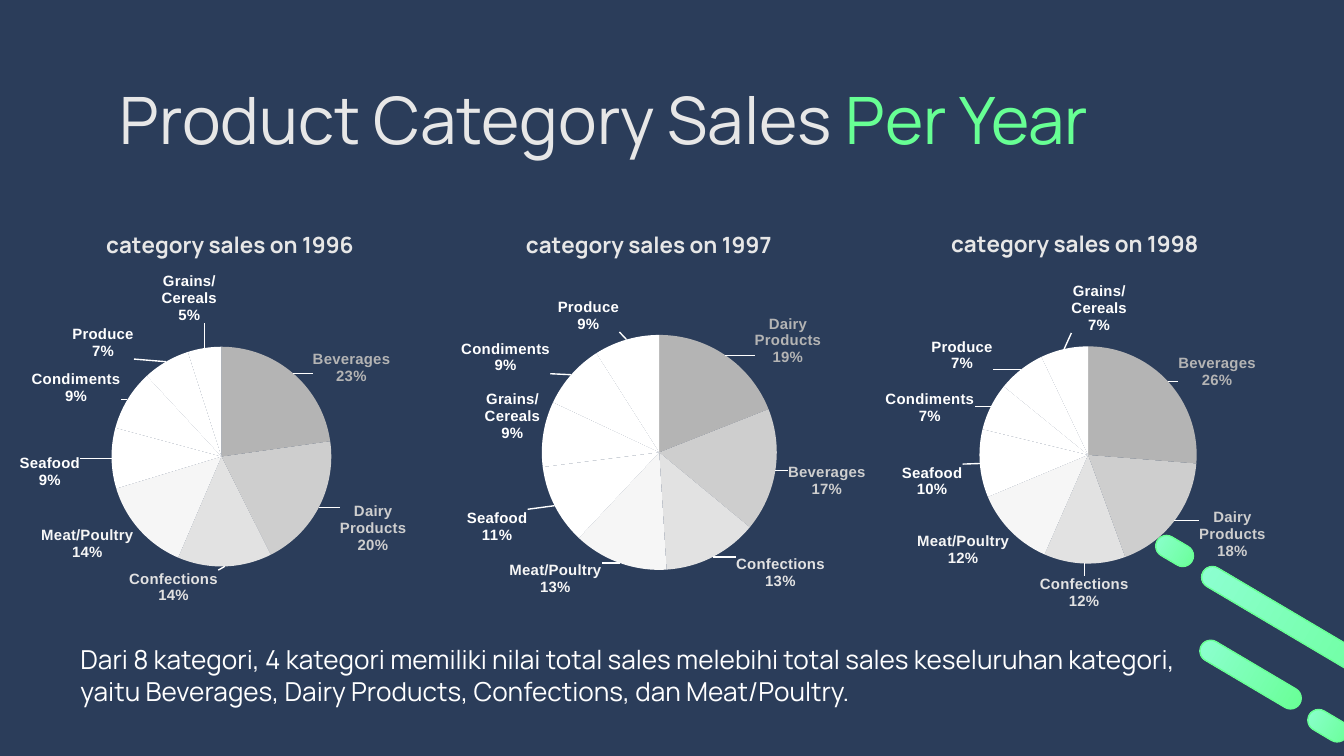
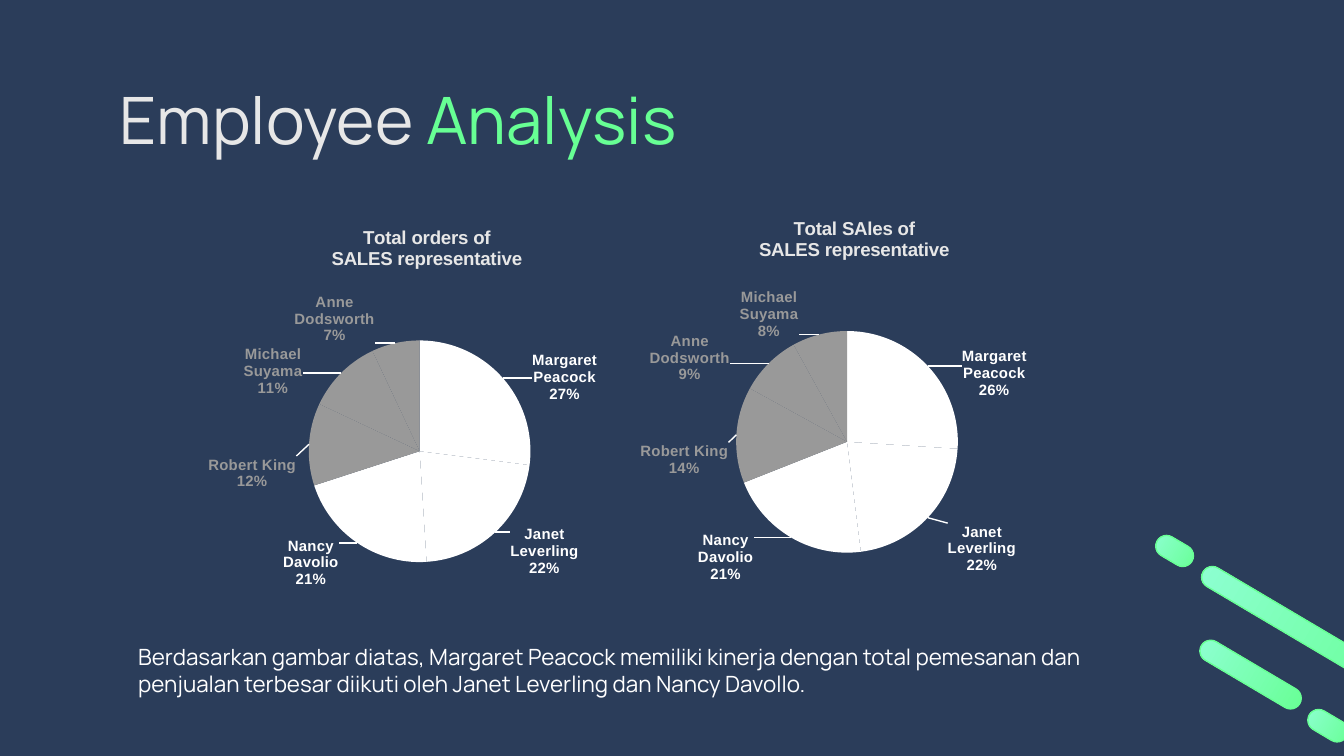
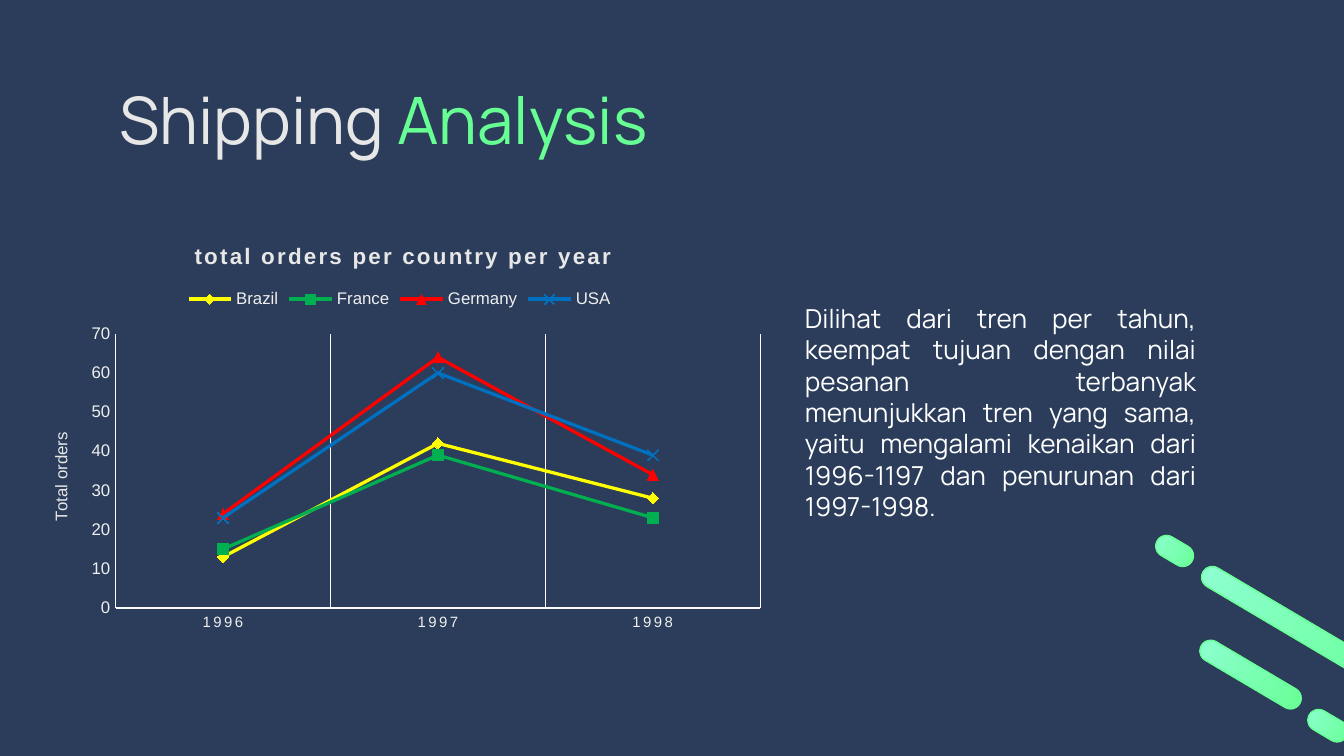
from dataclasses import dataclass

from lxml import etree
from pptx import Presentation
from pptx import util as u
from pptx.chart.data import CategoryChartData
from pptx.dml.color import RGBColor
from pptx.enum import chart as charts, shapes, text
from pptx.oxml.ns import qn


@dataclass(frozen=True)
class Theme:
    background: str = "2B3D5A"
    heading: str = "E7E7E7"
    accent: str = "67FF94"
    accent_light: str = "8EFFD2"
    white: str = "FFFFFF"
    axis_text: str = "EFEFEF"
    axis_line: str = "FBFBFB"
    display_font: str = "Manrope"
    chart_font: str = "Arial"
    title_size: float = 35
    body_size: float = 14
    small_body_size: float = 12
    chart_title_size: float = 12
    small_chart_title_size: float = 10
    chart_size: float = 10
    axis_size: float = 9
    label_size: float = 8
    letter_spacing: str = "120"


THEME = Theme()
BARS = [
    (8.83, 4.62, 1.75),
    (8.59, 4.02, 0.3),
    (9.72, 5.32, 0.32),
    (8.88, 4.94, 0.85),
]
CATEGORY_SHADES = ["B4B4B4", "CECECE", "E2E2E2", "F6F6F6"] + [THEME.white] * 4
EMPLOYEE_SHADES = [THEME.white] * 3 + ["999999"] * 3


def inches(*values):
    return [u.Inches(value) for value in values]


def apply(target, values):
    for name, value in values.items():
        setattr(target, name, value)


def style_font(font, size, color, name, bold=False):
    apply(font, {"size": u.Pt(size), "name": name, "bold": bold})
    font.color.rgb = RGBColor.from_string(color)


def style_line(line, color, width):
    line.color.rgb = RGBColor.from_string(color)
    line.width = u.Pt(width)


def add_xml(parent, tag, **attributes):
    return etree.SubElement(parent, qn(tag), **attributes)


def set_layout(parent, index, values):
    for previous in parent.findall(qn("c:layout")):
        parent.remove(previous)
    layout = etree.Element(qn("c:layout"))
    manual = add_xml(layout, "c:manualLayout")
    for name, value in values.items():
        add_xml(manual, f"c:{name}", val=str(value))
    parent.insert(index, layout)


def edge_layout(x, y):
    return {"xMode": "edge", "yMode": "edge", "x": x, "y": y}


class Deck:
    def __init__(self, theme):
        self.theme = theme
        self.presentation = Presentation()
        apply(self.presentation, {
            "slide_width": u.Inches(10), "slide_height": u.Inches(10 * 9 / 16)})
        fill = self.presentation.slide_master.background.fill
        fill.solid()
        fill.fore_color.rgb = RGBColor.from_string(theme.background)
        self.slide = None

    def add_slide(self, heading, highlight):
        self.slide = self.presentation.slides.add_slide(self.presentation.slide_layouts[5])
        title = self.slide.shapes.title
        left, top, width, height = inches(0.79, 0.49, 8.43, 0.63)
        apply(title, {"left": left, "top": top, "width": width, "height": height})
        margin = u.Inches(0.1)
        apply(title.text_frame, {
            "margin_left": margin, "margin_right": margin,
            "margin_top": margin, "margin_bottom": margin,
            "vertical_anchor": text.MSO_ANCHOR.TOP,
            "auto_size": text.MSO_AUTO_SIZE.NONE, "word_wrap": True,
        })
        paragraph = title.text_frame.paragraphs[0]
        paragraph.alignment = text.PP_ALIGN.LEFT
        for words, color in ((heading + " ", self.theme.heading), (highlight, self.theme.accent)):
            run = paragraph.add_run()
            run.text = words
            style_font(run.font, self.theme.title_size, color, self.theme.display_font)
        for left, top, width in BARS:
            self.add_bar(left, top, width)

    def add_bar(self, left, top, width):
        bar = self.slide.shapes.add_shape(
            shapes.MSO_SHAPE.ROUNDED_RECTANGLE, *inches(left, top, width, 0.16))
        bar.adjustments[0] = 0.5
        bar.rotation = 30.6
        bar.shadow.inherit = False
        bar.fill.gradient()
        bar.fill.gradient_angle = 180
        stops = zip(bar.fill.gradient_stops, (self.theme.accent, self.theme.accent_light), (0, 1))
        for stop, color, position in stops:
            stop.color.rgb = RGBColor.from_string(color)
            stop.position = position
        style_line(bar.line, self.theme.accent, 0.75)

    def add_body(self, words, box, size, alignment=text.PP_ALIGN.LEFT):
        frame = self.slide.shapes.add_textbox(*inches(*box)).text_frame
        apply(frame, {"word_wrap": True, "auto_size": text.MSO_AUTO_SIZE.SHAPE_TO_FIT_TEXT})
        paragraph = frame.paragraphs[0]
        paragraph.alignment = alignment
        run = paragraph.add_run()
        run.text = words
        style_font(run.font, size, self.theme.white, self.theme.display_font)

    def add_chart(self, kind, box, categories, series, plot_area):
        data = CategoryChartData()
        data.categories = categories
        for name, values in series.items():
            data.add_series(name, values)
        chart = self.slide.shapes.add_chart(kind, *inches(*box), data).chart
        style_font(chart.font, self.theme.chart_size, self.theme.heading, self.theme.chart_font)
        chart.has_legend = False
        x, y, width, height = plot_area
        area = chart._chartSpace.find(f".//{qn('c:plotArea')}")
        set_layout(area, 0, {"layoutTarget": "inner", **edge_layout(x, y), "w": width, "h": height})
        return chart

    def add_chart_title(self, chart, lines, corner, size, font_name, spacing="0"):
        chart.has_title = True
        frame = chart.chart_title.text_frame
        for index, line in enumerate(lines):
            paragraph = frame.add_paragraph() if index else frame.paragraphs[0]
            run = paragraph.add_run()
            run.text = line
            style_font(run.font, size, self.theme.heading, font_name, True)
            run.font._element.set("spc", spacing)
        set_layout(chart.chart_title._element, 1, edge_layout(*corner))

    def add_pie(self, box, shares, shades, plot_corner):
        categories, values, offsets = zip(*shares)
        chart = self.add_chart(charts.XL_CHART_TYPE.PIE, box, categories,
                               {"Series 1": values}, (*plot_corner, 0.47, 0.57))
        chart.plots[0].vary_by_categories = True
        series = chart.plots[0].series[0]
        style_line(series.format.line, self.theme.white, 0.75)
        labels = series.data_labels
        apply(labels, {
            "show_category_name": True, "show_percentage": True, "show_value": False,
            "number_format": "0%", "number_format_is_linked": False,
            "position": charts.XL_LABEL_POSITION.OUTSIDE_END,
        })
        label_style = (self.theme.chart_font, True)
        style_font(labels.font, self.theme.label_size, self.theme.white, *label_style)
        for index, (shade, offset) in enumerate(zip(shades, offsets)):
            point = series.points[index]
            point.format.fill.solid()
            point.format.fill.fore_color.rgb = RGBColor.from_string(shade)
            point.format.line.fill.background()
            style_font(point.data_label.font, self.theme.label_size, shade, *label_style)
            point.data_label.position = charts.XL_LABEL_POSITION.OUTSIDE_END
            self.place_label(series, index, offset)
        self.add_leader_lines(series)
        return chart

    def place_label(self, series, index, offset):
        label = series._element.xpath(f"c:dLbls/c:dLbl[c:idx/@val='{index}']")[0]
        for name, shown in (("showVal", "0"), ("showCatName", "1"), ("showPercent", "1")):
            label.find(qn(f"c:{name}")).set("val", shown)
        set_layout(label, 1, dict(zip("xy", offset)))
        label.insert(2, etree.Element(qn("c:numFmt"), formatCode="0%", sourceLinked="0"))
        add_xml(label, "c:separator").text = "\n"

    def add_leader_lines(self, series):
        labels = series._element.find(qn("c:dLbls"))
        for previous in labels.findall(qn("c:showLeaderLines")):
            labels.remove(previous)
        add_xml(labels, "c:showLeaderLines", val="1")
        properties = add_xml(add_xml(labels, "c:leaderLines"), "c:spPr")
        line = add_xml(properties, "a:ln", w=str(u.Pt(0.75)))
        add_xml(add_xml(line, "a:solidFill"), "a:srgbClr", val=self.theme.white)

    def add_line_chart(self, box, categories, lines, value_title):
        theme = self.theme
        chart = self.add_chart(charts.XL_CHART_TYPE.LINE_MARKERS, box, categories,
                               {name: values for name, values, _, _ in lines},
                               (0.12, 0.27, 0.86, 0.66))
        for series, (_, _, color, marker) in zip(chart.plots[0].series, lines):
            series.smooth = False
            style_line(series.format.line, color, 1.75)
            apply(series.marker, {"style": marker, "size": 6})
            style_line(series.marker.format.line, color, 0.75)
            if marker == charts.XL_MARKER_STYLE.X:
                series.marker.format.fill.background()
            else:
                series.marker.format.fill.solid()
                series.marker.format.fill.fore_color.rgb = RGBColor.from_string(color)
        axes = ((chart.category_axis, theme.label_size, True),
                (chart.value_axis, theme.axis_size, False))
        for axis, size, gridlines in axes:
            apply(axis, {
                "major_tick_mark": charts.XL_TICK_MARK.NONE,
                "minor_tick_mark": charts.XL_TICK_MARK.NONE,
                "has_major_gridlines": gridlines,
            })
            style_font(axis.tick_labels.font, size, theme.axis_text, theme.chart_font)
            style_line(axis.format.line, theme.axis_line, 0.75)
        style_line(chart.category_axis.major_gridlines.format.line, theme.axis_line, 0.75)
        chart.category_axis.tick_labels.font._element.set("spc", theme.letter_spacing)
        apply(chart.value_axis, {"minimum_scale": 0, "maximum_scale": 70, "major_unit": 10})
        frame = chart.value_axis.axis_title.text_frame
        run = frame.paragraphs[0].add_run()
        run.text = value_title
        style_font(run.font, theme.axis_size, theme.heading, theme.chart_font)
        frame._txBody.find(qn("a:bodyPr")).set("rot", "-5400000")
        chart.has_legend = True
        apply(chart.legend, {
            "position": charts.XL_LEGEND_POSITION.TOP, "include_in_layout": False})
        style_font(chart.legend.font, theme.axis_size, theme.axis_text, theme.chart_font)
        set_layout(chart.legend._element, 1, edge_layout(0.21, 0.15))
        return chart


def build_category_slide(deck):
    deck.add_slide("Product Category Sales", "Per Year")
    years = [
        ("1996", (-0.04, 1.53, 3.48, 3.14), (0.25, 0.31), 0.23, [
            ("Beverages", 23, (0.03, 0.04)),
            ("Dairy Products", 20, (0.03, -0.02)),
            ("Confections", 14, (-0.11, -0.01)),
            ("Meat/Poultry", 14, (0, -0.02)),
            ("Seafood", 9, (-0.05, 0.03)),
            ("Condiments", 9, (0, 0.02)),
            ("Produce", 7, (-0.06, 0.01)),
            ("Grains/Cereals", 5, (0.03, -0.04)),
        ]),
        ("1997", (2.99, 1.53, 3.72, 3.14), (0.28, 0.3), 0.24, [
            ("Dairy Products", 19, (0.05, 0.04)),
            ("Beverages", 17, (0.01, -0.02)),
            ("Confections", 13, (0.04, -0.02)),
            ("Meat/Poultry", 13, (-0.03, -0.02)),
            ("Seafood", 11, (-0.04, 0)),
            ("Grains/Cereals", 9, (0.01, 0.02)),
            ("Condiments", 9, (-0.03, 0.01)),
            ("Produce", 9, (-0.01, 0)),
        ]),
        ("1998", (6.29, 1.53, 3.44, 3.12), (0.29, 0.31), 0.22, [
            ("Beverages", 26, (0.01, 0.03)),
            ("Dairy Products", 18, (0.04, -0.04)),
            ("Confections", 12, (0, 0.01)),
            ("Meat/Poultry", 12, (0.01, -0.01)),
            ("Seafood", 10, (-0.02, 0.04)),
            ("Condiments", 7, (-0.02, 0.05)),
            ("Produce", 7, (-0.05, 0.02)),
            ("Grains/Cereals", 7, (0.14, -0.02)),
        ]),
    ]
    for year, box, plot_corner, title_left, shares in years:
        chart = deck.add_pie(box, shares, CATEGORY_SHADES, plot_corner)
        deck.add_chart_title(chart, [f"category sales on {year}"], (title_left, 0.04),
                             THEME.chart_title_size, THEME.display_font)
    deck.add_body(
        "Dari 8 kategori, 4 kategori memiliki nilai total sales melebihi total sales "
        "keseluruhan kategori, yaitu Beverages, Dairy Products, Confections, dan Meat/Poultry.",
        (0.5, 4.74, 8.71, 0.57), THEME.body_size)


def build_employee_slide(deck):
    deck.add_slide("Employee", "Analysis")
    measures = [
        ("Total orders of", (1.42, 1.52, 3.51, 3.09), [
            ("Margaret Peacock", 27, (0.05, 0.07)),
            ("Janet Leverling", 22, (0.02, -0.03)),
            ("Nancy Davolio", 21, (-0.03, -0.03)),
            ("Robert King", 12, (-0.01, 0.07)),
            ("Michael Suyama", 11, (-0.07, 0.07)),
            ("Anne Dodsworth", 7, (-0.04, 0.02)),
        ]),
        ("Total SAles of", (4.6, 1.45, 3.51, 3.09), [
            ("Margaret Peacock", 26, (0.06, 0.09)),
            ("Janet Leverling", 22, (0.03, 0)),
            ("Nancy Davolio", 21, (-0.07, -0.03)),
            ("Robert King", 14, (0, 0.06)),
            ("Anne Dodsworth", 9, (-0.07, 0.06)),
            ("Michael Suyama", 8, (-0.04, 0.03)),
        ]),
    ]
    for measure, box, shares in measures:
        chart = deck.add_pie(box, shares, EMPLOYEE_SHADES, (0.25, 0.31))
        deck.add_chart_title(chart, [measure, "SALES representative"], (0.29, 0.04),
                             THEME.small_chart_title_size, THEME.chart_font)
    deck.add_body(
        "Berdasarkan gambar diatas, Margaret Peacock memiliki kinerja dengan total pemesanan "
        "dan penjualan terbesar diikuti oleh Janet Leverling dan Nancy Davollo.",
        (0.93, 4.74, 7.33, 0.5), THEME.small_body_size)


def build_shipping_slide(deck):
    deck.add_slide("Shipping", "Analysis")
    markers = charts.XL_MARKER_STYLE
    countries = [
        ("Brazil", (13, 42, 28), "FFFF00", markers.DIAMOND),
        ("France", (15, 39, 23), "00B050", markers.SQUARE),
        ("Germany", (24, 64, 34), "FF0000", markers.TRIANGLE),
        ("USA", (23, 60, 39), "0070C0", markers.X),
    ]
    chart = deck.add_line_chart((0.19, 1.65, 5.58, 3.09), ["1996", "1997", "1998"],
                                countries, "Total orders")
    deck.add_chart_title(chart, ["total orders per country per year"], (0.22, 0.04),
                         THEME.chart_title_size, THEME.chart_font, THEME.letter_spacing)
    deck.add_body(
        "Dilihat dari tren per tahun, keempat tujuan dengan nilai pesanan terbanyak "
        "menunjukkan tren yang sama, yaitu mengalami kenaikan dari 1996-1197 dan penurunan "
        "dari 1997-1998.",
        (5.89, 2.2, 3.11, 1.75), THEME.body_size, text.PP_ALIGN.JUSTIFY)


def main():
    deck = Deck(THEME)
    build_category_slide(deck)
    build_employee_slide(deck)
    build_shipping_slide(deck)
    deck.presentation.save("out.pptx")


if __name__ == "__main__":
    main()
